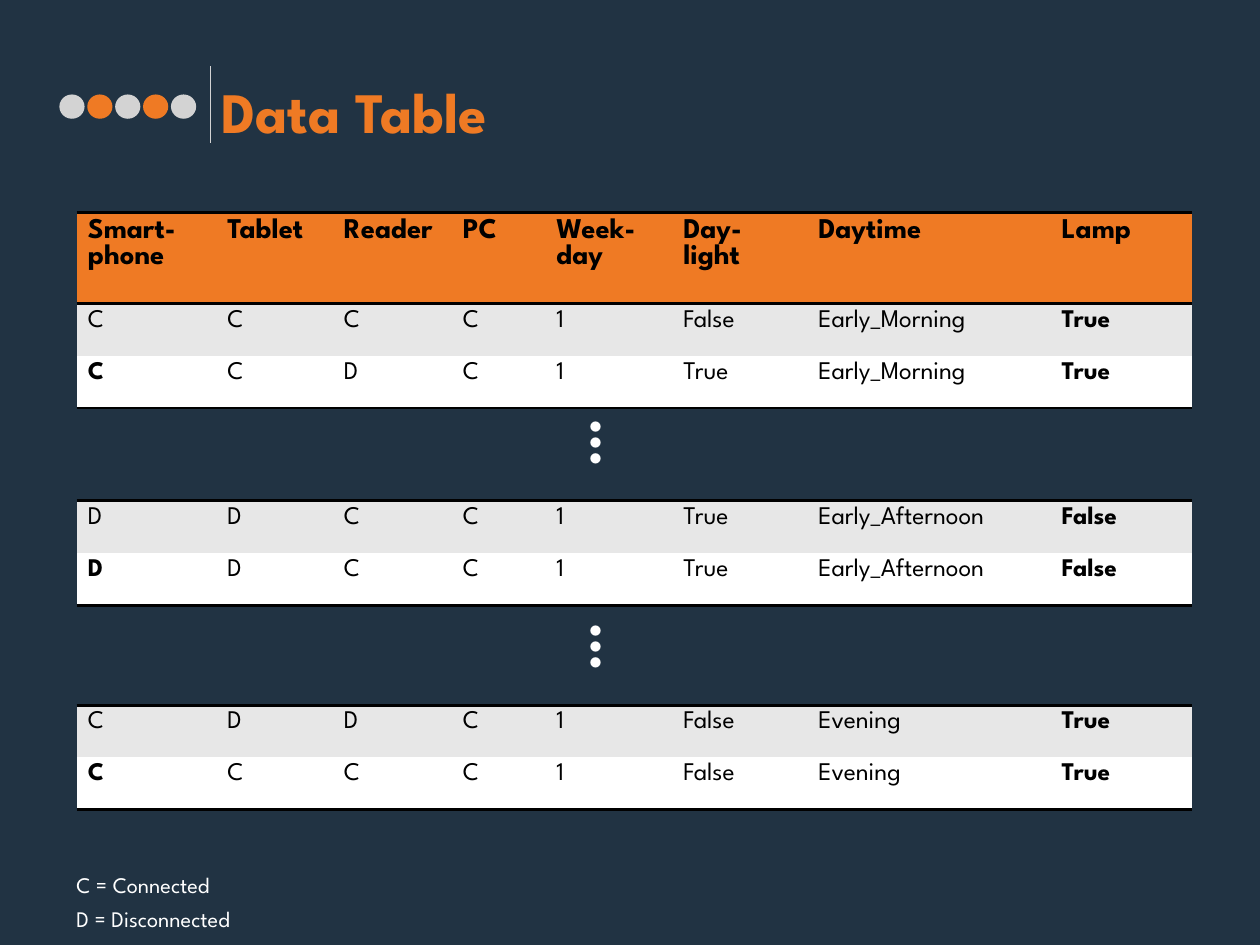
from lxml import etree
from pptx import Presentation
from pptx.dml.color import RGBColor
from pptx.enum.shapes import MSO_CONNECTOR, MSO_SHAPE
from pptx.enum.text import MSO_ANCHOR, MSO_AUTO_SIZE, PP_ALIGN
from pptx.oxml.ns import qn
from pptx.util import Cm, Pt

STRAIGHT = MSO_CONNECTOR.STRAIGHT
ELLIPSE = MSO_SHAPE.OVAL
MIDDLE = MSO_ANCHOR.MIDDLE
LEFT = PP_ALIGN.LEFT
GROW = MSO_AUTO_SIZE.SHAPE_TO_FIT_TEXT

FONT = "League Spartan"
COLORS = {
    "background": "213343",
    "accent": "EF7A24",
    "silver": "D3D3D3",
    "band": "E7E7E7",
    "white": "FFFFFF",
    "black": "000000",
}
PLAIN_TABLE_STYLE = "{2D5ABB26-0587-4C30-8999-92F81FD0307C}"

TABLE_LEFT = 1.7
COLUMN_WIDTHS = [3.1, 2.59, 2.64, 2.08, 2.82, 3.0, 5.41, 3.15]
HEADER_HEIGHT = 2.03
ROW_HEIGHT = 1.16

HEADER = ["Smart-phone", "Tablet", "Reader", "PC",
          "Week-day", "Day-light", "Daytime", "Lamp"]
MORNING = [
    ["C", "C", "C", "C", "1", "False", "Early_Morning", "True"],
    ["C", "C", "D", "C", "1", "True", "Early_Morning", "True"],
]
AFTERNOON = [
    ["D", "D", "C", "C", "1", "True", "Early_Afternoon", "False"],
    ["D", "D", "C", "C", "1", "True", "Early_Afternoon", "False"],
]
EVENING = [
    ["C", "D", "D", "C", "1", "False", "Evening", "True"],
    ["C", "C", "C", "C", "1", "False", "Evening", "True"],
]


def rgb(name):
    return RGBColor.from_string(COLORS[name])


def add_run(paragraph, text, size, color, bold=False):
    run = paragraph.add_run()
    run.text = text
    run.font.name = FONT
    run.font.size = Pt(size)
    run.font.bold = bold
    run.font.color.rgb = rgb(color)


def set_title(slide, text):
    title = slide.shapes.title
    title.left, title.top = Cm(4.67), Cm(1.4)
    title.width, title.height = Cm(18.44), Cm(2.11)
    title.text_frame.vertical_anchor = MIDDLE
    paragraph = title.text_frame.paragraphs[0]
    paragraph.alignment = LEFT
    add_run(paragraph, text, 36, "accent", bold=True)


def add_text(slide, left, top, width, height, lines, size, bold=False, rotation=0):
    box = slide.shapes.add_textbox(Cm(left), Cm(top), Cm(width), Cm(height))
    box.rotation = rotation
    frame = box.text_frame
    frame.word_wrap = True
    frame.auto_size = GROW
    for i, line in enumerate(lines):
        paragraph = frame.add_paragraph() if i else frame.paragraphs[0]
        paragraph.line_spacing = 1.3
        add_run(paragraph, line, size, "white", bold)


def set_borders(cell, sides):
    properties = cell._tc.get_or_add_tcPr()
    for position, side in enumerate(sides):
        border = etree.Element(qn(f"a:ln{side}"), w=str(Pt(2)))
        fill = etree.SubElement(border, qn("a:solidFill"))
        etree.SubElement(fill, qn("a:srgbClr"), val=COLORS["black"])
        properties.insert(position, border)


def fill_row(table, index, values, size, fill, bold_columns, sides):
    for column, value in enumerate(values):
        cell = table.cell(index, column)
        cell.fill.solid()
        cell.fill.fore_color.rgb = rgb(fill)
        add_run(cell.text_frame.paragraphs[0], value, size, "black",
                column in bold_columns)
        set_borders(cell, sides)


def add_data_table(slide, top, records, header=None):
    offset = 1 if header else 0
    heights = [HEADER_HEIGHT] * offset + [ROW_HEIGHT] * len(records)
    table = slide.shapes.add_table(
        len(heights), len(COLUMN_WIDTHS), Cm(TABLE_LEFT), Cm(top),
        Cm(sum(COLUMN_WIDTHS)), Cm(sum(heights))).table
    table.first_row = bool(header)
    table.horz_banding = False
    table._tbl.tblPr.find(qn("a:tableStyleId")).text = PLAIN_TABLE_STYLE
    for column, width in zip(table.columns, COLUMN_WIDTHS):
        column.width = Cm(width)
    for row, height in zip(table.rows, heights):
        row.height = Cm(height)

    lamp = len(COLUMN_WIDTHS) - 1
    if header:
        fill_row(table, 0, header, 18, "accent", range(lamp + 1), "TB")
    first, last = records
    fill_row(table, offset, first, 16, "band", {lamp}, "" if header else "T")
    fill_row(table, offset + 1, last, 16, "white", {0, lamp}, "B")


def add_divider(slide, x, top, bottom):
    divider = slide.shapes.add_connector(STRAIGHT, Cm(x), Cm(bottom), Cm(x), Cm(top))
    divider.line.color.rgb = rgb("silver")
    divider.line.width = Pt(0.75)
    etree.SubElement(divider._element.spPr, qn("a:effectLst"))


def add_dot_row(slide, left, top, pitch, colors):
    dots = slide.shapes.add_group_shape()
    for i, color in enumerate(colors):
        dot = dots.shapes.add_shape(ELLIPSE, Cm(left + i * pitch), Cm(top),
                                    Cm(0.56), Cm(0.54))
        dot.shadow.inherit = False
        dot.fill.solid()
        dot.fill.fore_color.rgb = rgb(color)
        dot.line.fill.background()


def main():
    deck = Presentation()
    deck.slide_width, deck.slide_height = Cm(28), Cm(21)
    slide = deck.slides.add_slide(deck.slide_layouts[5])
    slide.background.fill.solid()
    slide.background.fill.fore_color.rgb = rgb("background")

    # Heading with its dots and divider
    set_title(slide, "Data Table")
    add_divider(slide, 4.67, 1.47, 3.17)
    add_dot_row(slide, 1.32, 2.1, 0.62,
                ["silver", "accent", "silver", "accent", "silver"])

    # Excerpts of the data
    add_data_table(slide, 4.72, MORNING, HEADER)
    add_data_table(slide, 11.13, AFTERNOON)
    add_data_table(slide, 15.67, EVENING)

    # Omitted rows between the excerpts
    for top in (8.76, 13.31):
        add_text(slide, 13.49, top, 1.19, 1.8, ["…"], 36, bold=True, rotation=90)

    # Legend
    add_text(slide, 1.45, 19.05, 6.81, 1.45,
             ["C = Connected", "D = Disconnected"], 14)

    deck.save("out.pptx")


if __name__ == "__main__":
    main()
